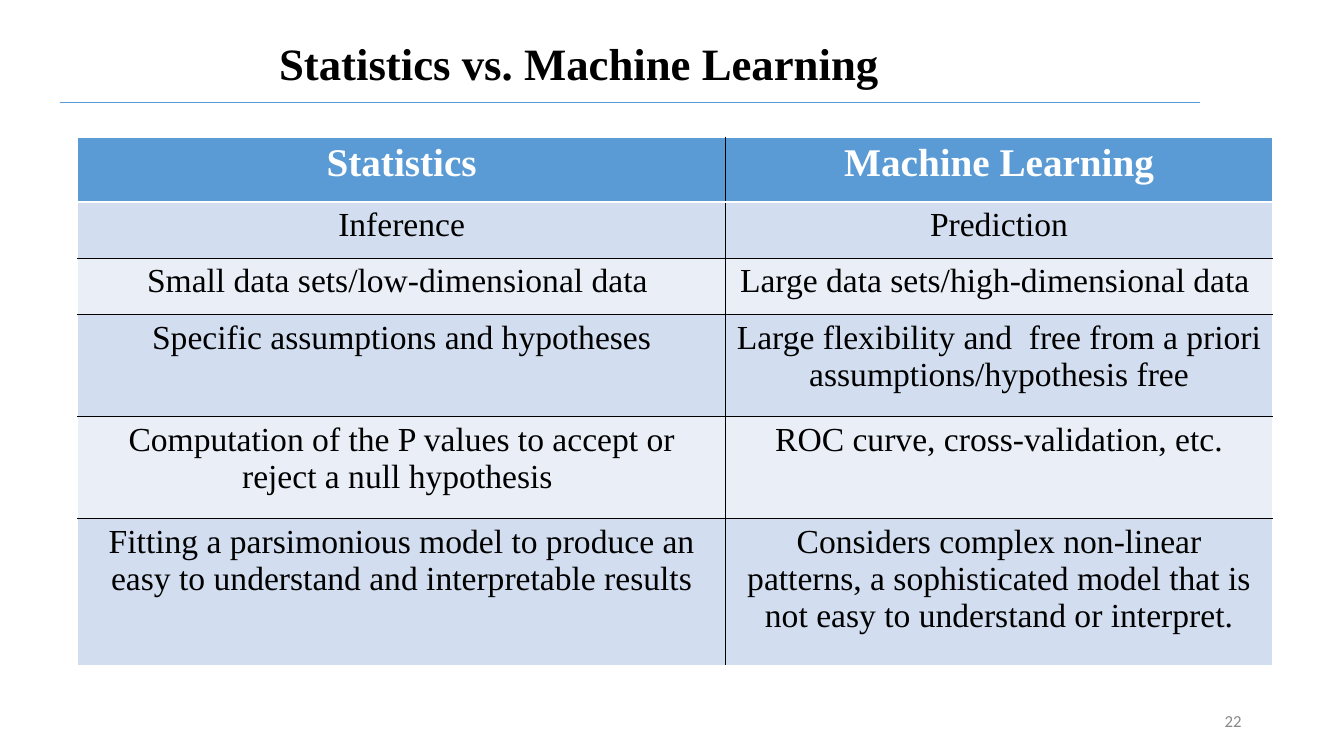
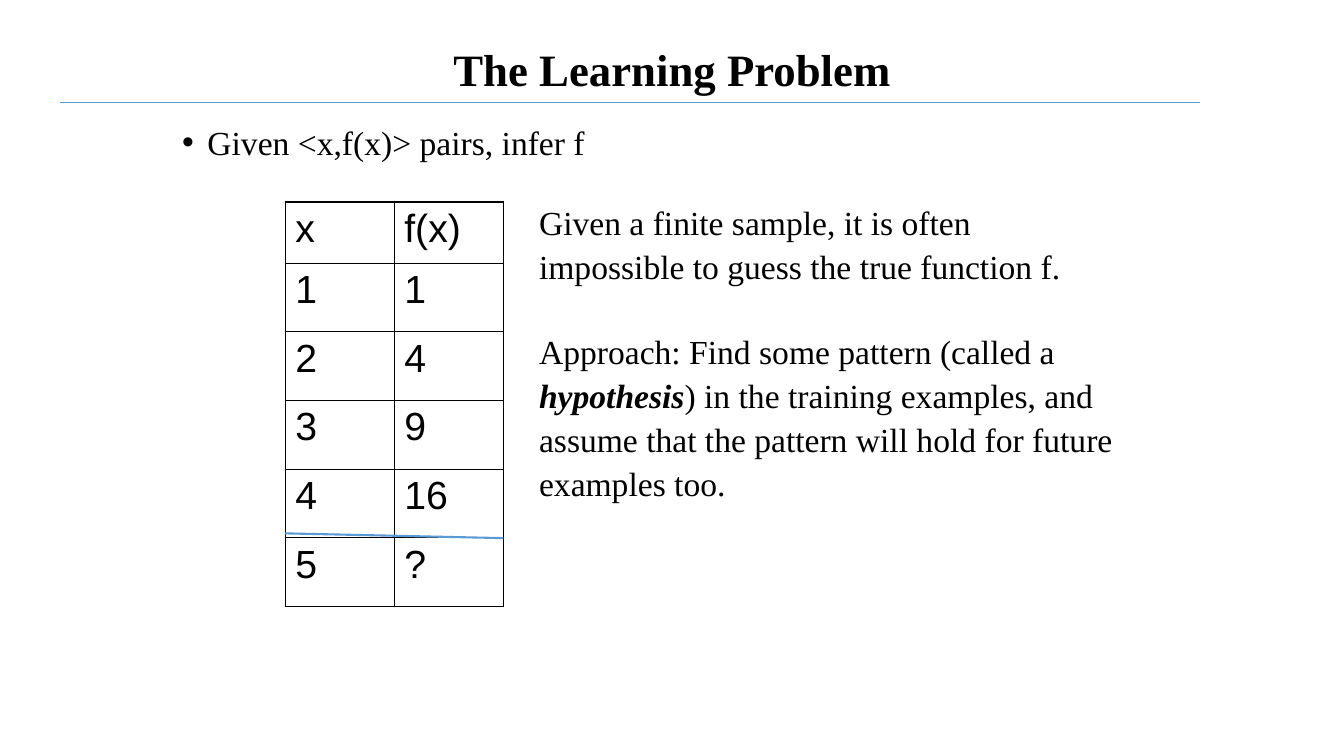
from pptx import Presentation
from pptx.dml.color import RGBColor
from pptx.enum.shapes import MSO_CONNECTOR as Link
from pptx.enum.text import MSO_ANCHOR as Anchor, PP_ALIGN as Align
from pptx.oxml.ns import qn
from pptx.util import Cm, Pt
from lxml.etree import SubElement

BLACK = RGBColor(0x00, 0x00, 0x00)
WHITE = RGBColor(0xFF, 0xFF, 0xFF)
BLUE = RGBColor(0x5B, 0x9B, 0xD5)
PALE = RGBColor(0xD2, 0xDE, 0xEF)
MIST = RGBColor(0xEA, 0xEF, 0xF7)
GREY = RGBColor(0x89, 0x89, 0x89)
SERIF = "Times New Roman"

# Cell border pens: colour and width in points
THIN, MID, THICK = (BLACK, 0.45), (BLACK, 1.08), (BLACK, 1.47)
EDGE, BAR = (WHITE, 0.45), (WHITE, 1.47)

VERSUS = [
    ("Statistics", "Machine Learning"),
    ("Inference", "Prediction"),
    ("Small data sets/low-dimensional data ",
     "Large data sets/high-dimensional data "),
    ("Specific assumptions and hypotheses",
     "Large flexibility and  free from a priori assumptions/hypothesis free"),
    ("Computation of the P values to accept or reject a null hypothesis ",
     "ROC curve, cross-validation, etc."),
    ("Fitting a parsimonious model to produce an easy to understand "
     "and interpretable results",
     "Considers complex non-linear\npatterns, a sophisticated model that is "
     "not easy to understand or interpret."),
]
PAIRS = [("x", "f(x)"), ("1", "1"), ("2", "4"), ("3", "9"), ("4", "16"),
         ("5", "?")]
TASK = "Given <x,f(x)> pairs, infer f"
NOTES = [
    ["Given a finite sample, it is often"],
    ["impossible to guess the true function f."],
    ["Approach: Find some pattern (called a ", "hypothesis",
     ") in the training examples, and assume that the pattern will hold "
     "for future examples too."],
]
KEY = "hypothesis"


def style(para, size, color=BLACK, name=SERIF, bold=False):
    font = para.font
    font.name, font.size, font.bold = name, Pt(size), bold
    font.color.rgb = color


def add_line(slide, ends, width):
    line = slide.shapes.add_connector(Link.STRAIGHT, *map(Cm, ends))
    line.line.color.rgb = BLUE
    line.line.width = Pt(width)
    SubElement(line._element.spPr, qn("a:effectLst"))


def add_slide(prs, title, box, align):
    """Add a slide with its title and the rule under it."""
    slide = prs.slides.add_slide(prs.slide_layouts[5])
    head = slide.shapes.title
    head.left, head.top, head.width, head.height = map(Cm, box)
    frame = head.text_frame
    frame.text = title
    frame.vertical_anchor = Anchor.MIDDLE
    para = frame.paragraphs[0]
    para.alignment, para.line_spacing = align, 0.9
    style(para, 32, bold=True)
    add_line(slide, (1.5, 2.57, 30.25, 2.57), 0.5)
    return slide


def add_box(slide, box):
    frame = slide.shapes.add_textbox(*map(Cm, box)).text_frame
    frame.word_wrap = True
    return frame


def set_edge(cell, side, pen):
    color, width = pen
    edge = SubElement(cell._tc.get_or_add_tcPr(), qn(f"a:ln{side}"),
                      w=str(int(Pt(width))))
    fill = SubElement(edge, qn("a:solidFill"))
    SubElement(fill, qn("a:srgbClr"), val=str(color))


def add_grid(slide, data, spot, cols, rows, across, down, paint):
    """Add a table; across and down hold the pens of its rules.

    paint(cell, row) fills the cell and formats its text.
    """
    size = map(Cm, (sum(cols), sum(rows)))
    grid = slide.shapes.add_table(len(rows), len(cols), *map(Cm, spot),
                                  *size).table
    grid.first_row = grid.horz_banding = False
    for col, width in zip(grid.columns, cols):
        col.width = Cm(width)
    for r, (row, high) in enumerate(zip(grid.rows, rows)):
        row.height = Cm(high)
        for c, cell in enumerate(row.cells):
            cell.text = data[r][c]
            pens = (down[c], down[c + 1], across[r], across[r + 1])
            for side, pen in zip("LRTB", pens):
                set_edge(cell, side, pen)
            paint(cell, r)


def paint_versus(cell, row):
    cell.fill.solid()
    cell.fill.fore_color.rgb = (PALE if row % 2 else MIST) if row else BLUE
    for para in cell.text_frame.paragraphs:
        para.alignment = Align.CENTER
        if row:
            style(para, 24)
        else:
            style(para, 28, WHITE, bold=True)


def paint_pairs(cell, row):
    cell.fill.background()
    style(cell.text_frame.paragraphs[0], 28, name="Arial")


def add_versus(prs):
    slide = add_slide(prs, "Statistics vs. Machine Learning",
                      (6.78, -0.18, 24.77, 3.68), Align.LEFT)
    add_grid(slide, VERSUS, (1.96, 3.45), (16.33, 13.79),
             (1.63, 1.42, 1.42, 2.57, 2.57, 3.71),
             [EDGE, BAR] + [THIN] * 4 + [EDGE], [EDGE, THIN, EDGE],
             paint_versus)
    frame = add_box(slide, (23.93, 17.65, 7.62, 1.02))
    frame.vertical_anchor = Anchor.MIDDLE
    frame.text = "22"
    para = frame.paragraphs[0]
    para.alignment = Align.RIGHT
    style(para, 12, GREY, "Calibri")


def add_problem(prs):
    slide = add_slide(prs, "The Learning Problem",
                      (6.15, 0.64, 21.59, 2.34), Align.CENTER)

    frame = add_box(slide, (4.34, 3.05, 23.37, 1.2))
    frame.text = TASK
    para = frame.paragraphs[0]
    para.line_spacing = 0.9
    props = para._p.get_or_add_pPr()
    hang = int(Cm(0.64))
    props.set("marL", str(hang))
    props.set("indent", str(-hang))
    SubElement(props, qn("a:buFont"), typeface="Arial")
    SubElement(props, qn("a:buChar"), char="•")
    style(para, 24)

    left, top, cols = 7.19, 5.08, (2.75, 2.75)
    add_grid(slide, PAIRS, (left, top), cols, [1.55] + [1.73] * 5,
             [THICK] + [THIN] * 5 + [MID], [MID, THIN, MID], paint_pairs)
    add_line(slide, (left, 13.44, left + sum(cols), 13.56), 1.5)

    frame = add_box(slide, (13.34, 4.88, 15.44, 7.37))
    for i, parts in enumerate(NOTES):
        para = frame.add_paragraph() if i else frame.paragraphs[0]
        para.line_spacing = 1.09
        style(para, 24)
        for part in parts:
            run = para.add_run()
            run.text = part
            if part == KEY:
                run.font.bold = run.font.italic = True
    para.space_before = Pt(29)


def main():
    prs = Presentation()
    prs.slide_width, prs.slide_height = Cm(33.88), Cm(19.05)
    add_versus(prs)
    add_problem(prs)
    prs.save("out.pptx")


if __name__ == "__main__":
    main()
